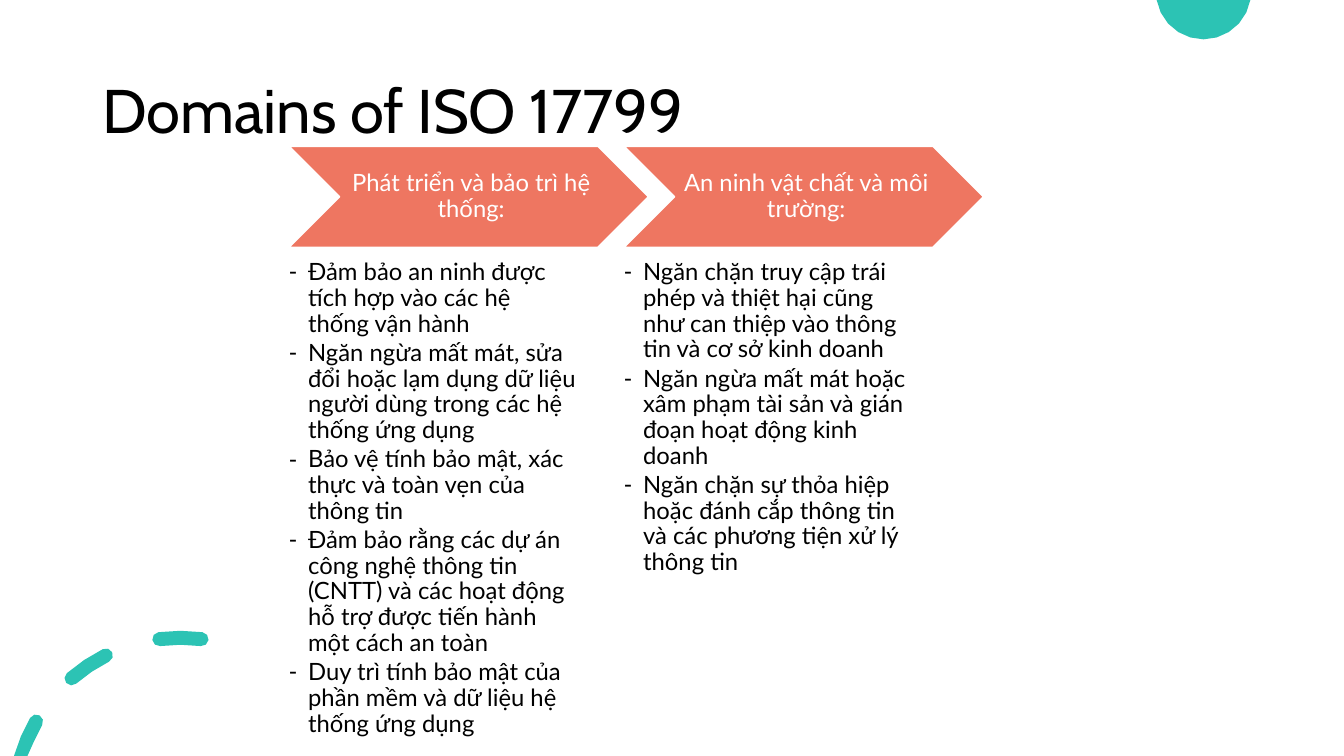
"""Build the slide on two domains of ISO 17799."""
import math

import lxml.etree
import pptx
import pptx.dml.color
import pptx.enum.shapes
import pptx.enum.text
import pptx.oxml.ns
import pptx.util

Pt = pptx.util.Pt
ALIGN = pptx.enum.text.PP_ALIGN
ANCHOR = pptx.enum.text.MSO_ANCHOR
COLORS = {"teal": "2CC3B4", "coral": "EE7661", "white": "FFFFFF", "black": "000000"}
RGB = {name: pptx.dml.color.RGBColor.from_string(code) for name, code in COLORS.items()}
SLIDE_WIDTH, SLIDE_HEIGHT = 960, 540

deck = pptx.Presentation()
deck.slide_width, deck.slide_height = Pt(SLIDE_WIDTH), Pt(SLIDE_HEIGHT)
slide = deck.slides.add_slide(deck.slide_layouts[3])


def arc(center, radius, start, end, steps):
    """Return points along an arc, in degrees clockwise from the top, kept on the slide."""
    angles = [math.radians(start + (end - start) * i / steps) for i in range(steps + 1)]
    return [(Pt(center[0] + radius * math.sin(a)),
             Pt(min(max(center[1] - radius * math.cos(a), 0), SLIDE_HEIGHT))) for a in angles]


def style_paragraph(paragraph, font_name, size, color, align, space_after=0):
    """Set the spacing of a paragraph and the font of its runs."""
    paragraph.alignment = align
    paragraph.line_spacing = 0.9
    paragraph.space_before = Pt(0)
    paragraph.space_after = Pt(space_after)
    for run in paragraph.runs:
        run.font.name = font_name
        run.font.size = Pt(size)
        run.font.color.rgb = RGB[color]


disc = arc((859.7, -5.9), 34, 100, 260, 10)

ring_center, ring_radius, half_dash = (128.9, 574.4), 118.8, 5
dashes = []
for start, end in [(-73.8, -60.2), (-40.9, -26.6), (-7.3, 7.3)]:
    start_cap, end_cap = [
        (ring_center[0] + ring_radius * math.sin(math.radians(a)),
         ring_center[1] - ring_radius * math.cos(math.radians(a))) for a in (start, end)]
    dashes.append(arc(ring_center, ring_radius + half_dash, start, end, 2)
                  + arc(end_cap, half_dash, end, end + 180, 4)[1:-1]
                  + arc(ring_center, ring_radius - half_dash, end, start, 2)
                  + arc(start_cap, half_dash, start + 180, start + 360, 4)[1:-1])

for contours in [[disc], dashes]:
    builder = slide.shapes.build_freeform(*contours[0][0], scale=1.0)
    for number, contour in enumerate(contours):
        if number:
            builder.move_to(*contour[0])
        builder.add_line_segments(contour[1:], close=True)
    ornament = builder.convert_to_shape()
    ornament.shadow.inherit = False
    ornament.fill.solid()
    ornament.fill.fore_color.rgb = RGB["teal"]
    ornament.line.fill.background()

heading = slide.shapes.title
heading.left, heading.top, heading.width, heading.height = Pt(66), Pt(28.8), Pt(828), Pt(104.4)
heading.text_frame.text = "Domains of ISO 17799"
heading.text_frame.vertical_anchor = ANCHOR.MIDDLE
heading.text_frame.auto_size = pptx.enum.text.MSO_AUTO_SIZE.NONE
heading_line = heading.text_frame.paragraphs[0]
style_paragraph(heading_line, "Cabin", 44, "black", ALIGN.LEFT)
heading_line.runs[0]._r.get_or_add_rPr().set("spc", "-10")

domains = [
    ("Phát triển và bảo trì hệ thống:", [
        "Đảm bảo an ninh được tích hợp vào các hệ thống vận hành",
        "Ngăn ngừa mất mát, sửa đổi hoặc lạm dụng dữ liệu người dùng trong các hệ thống ứng dụng",
        "Bảo vệ tính bảo mật, xác thực và toàn vẹn của thông tin",
        "Đảm bảo rằng các dự án công nghệ thông tin (CNTT) và các hoạt động hỗ trợ "
        "được tiến hành một cách an toàn",
        "Duy trì tính bảo mật của phần mềm và dữ liệu hệ thống ứng dụng",
    ]),
    ("An ninh vật chất và môi trường:", [
        "Ngăn chặn truy cập trái phép và thiệt hại cũng như can thiệp vào thông tin "
        "và cơ sở kinh doanh",
        "Ngăn ngừa mất mát hoặc xâm phạm tài sản và gián đoạn hoạt động kinh doanh",
        "Ngăn chặn sự thỏa hiệp hoặc đánh cắp thông tin và các phương tiện xử lý thông tin",
    ]),
]

for column, (domain, goals) in enumerate(domains):
    left = 206.6 + column * 239.3

    banner = slide.shapes.add_shape(pptx.enum.shapes.MSO_SHAPE.CHEVRON,
                                    Pt(left), Pt(104.6), Pt(256.5), Pt(72))
    banner.shadow.inherit = False
    banner.fill.solid()
    banner.fill.fore_color.rgb = RGB["coral"]
    banner.line.color.rgb = RGB["white"]
    banner.line.width = Pt(1)
    label = banner.text_frame
    label.word_wrap = True
    label.vertical_anchor = ANCHOR.MIDDLE
    label.margin_left = Pt(5)
    label.margin_top = label.margin_right = label.margin_bottom = Pt(1.5)
    label.text = domain
    style_paragraph(label.paragraphs[0], "Lato", 17, "white", ALIGN.CENTER)

    goal_list = slide.placeholders[column + 1]
    goal_list.left, goal_list.top = Pt(left), Pt(185.8)
    goal_list.width, goal_list.height = Pt(205), Pt(355.5)
    body = goal_list.text_frame
    body.auto_size = pptx.enum.text.MSO_AUTO_SIZE.NONE
    body.vertical_anchor = ANCHOR.TOP
    body.margin_left = body.margin_top = body.margin_right = body.margin_bottom = Pt(0)
    body.text = "\n".join(goals)
    for goal in body.paragraphs:
        goal.level = 1
        properties = goal._p.get_or_add_pPr()
        properties.set("marL", str(Pt(13.5)))
        properties.set("indent", str(-Pt(13.5)))
        bullet = lxml.etree.SubElement(properties, pptx.oxml.ns.qn("a:buChar"))
        bullet.set("char", "-")
        style_paragraph(goal, "Lato", 17, "black", ALIGN.LEFT, space_after=2.55)

deck.save("out.pptx")
